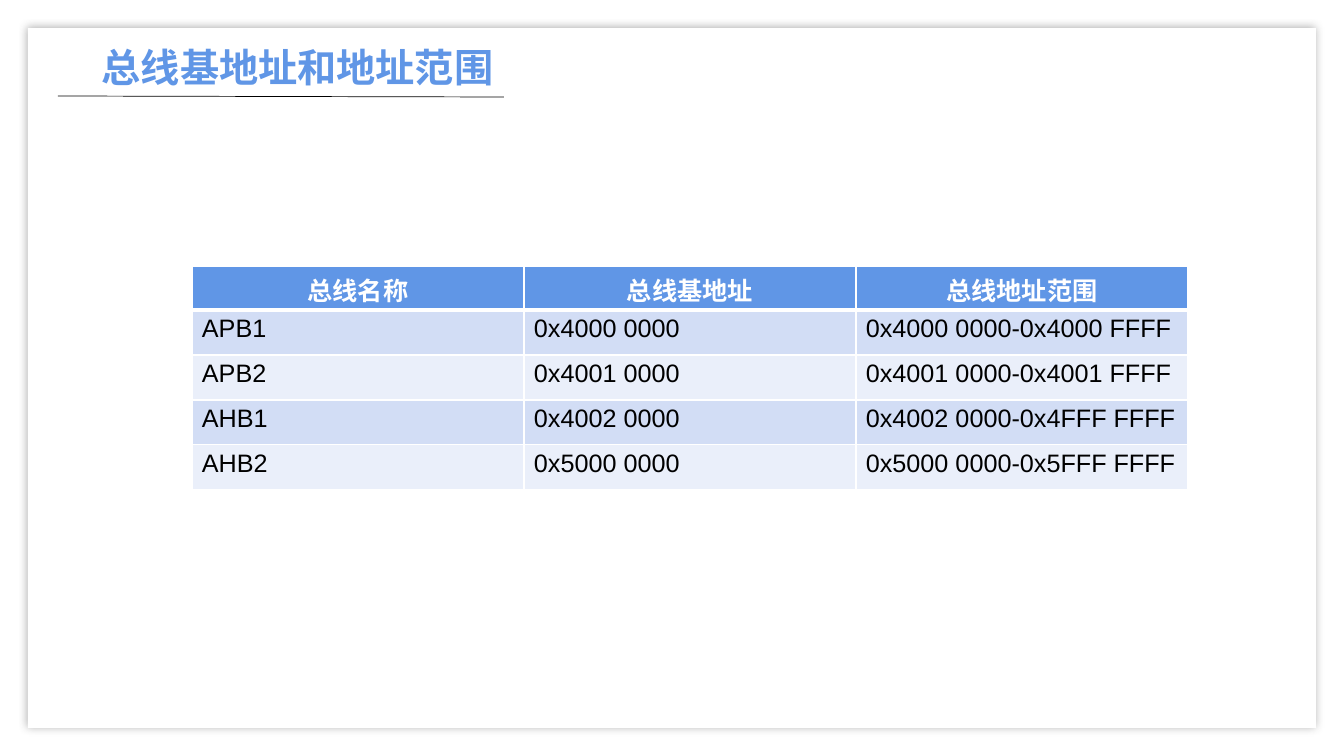
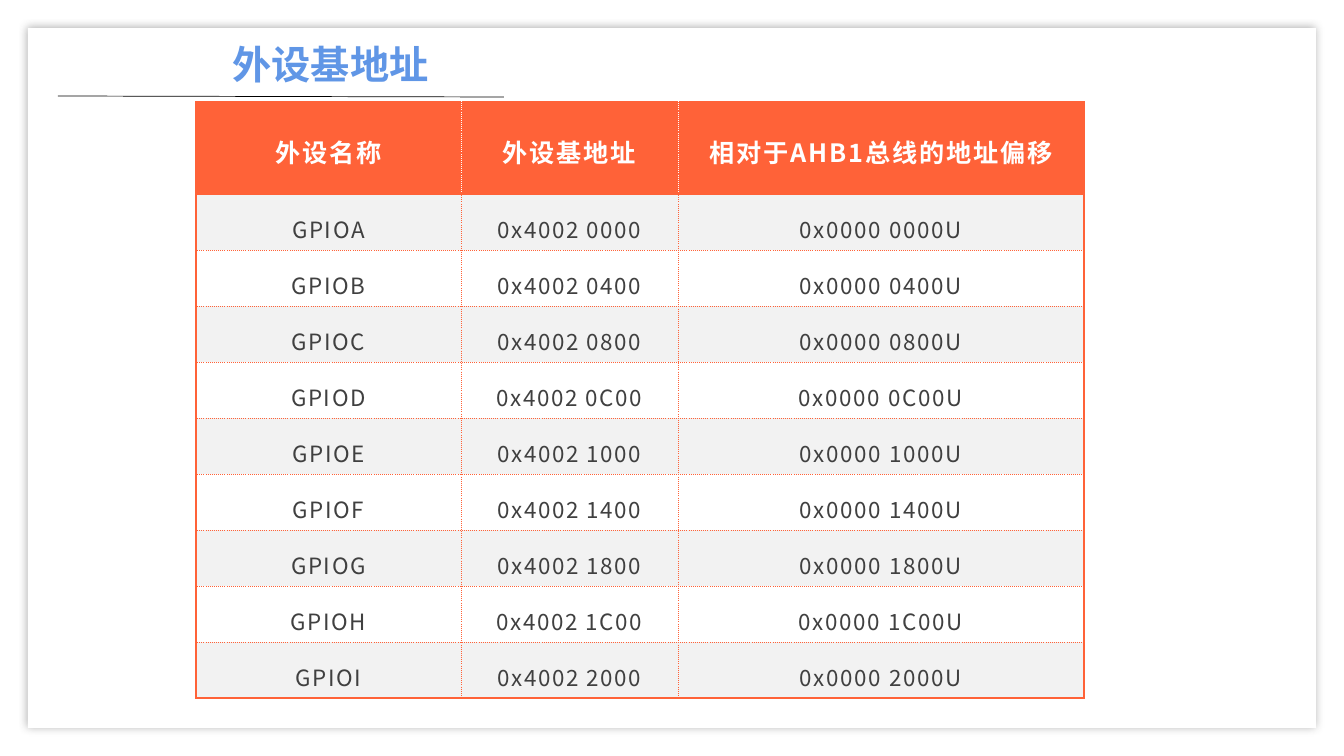
from collections import namedtuple

from lxml.etree import SubElement
from pptx import Presentation
from pptx.dml.color import RGBColor
from pptx.enum.shapes import MSO_CONNECTOR, MSO_SHAPE
from pptx.enum.text import MSO_ANCHOR, MSO_AUTO_SIZE, PP_ALIGN
from pptx.oxml import parse_xml
from pptx.oxml.ns import nsdecls, qn
from pptx.util import Emu, Pt

SLIDE_WIDTH, SLIDE_HEIGHT = 1344, 756
EMU_PER_PX = 12192000 / SLIDE_WIDTH
COLORS = {
    "white": "FFFFFF", "black": "000000", "shadow": "404040",
    "blue": "6096E6", "blue band": "D2DDF5", "blue pale": "EAEFFA",
    "orange": "FF6238", "grey band": "F2F2F2", "dark grey": "404040",
}
LATIN, CJK = "Arial", "Noto Sans CJK SC"

Border = namedtuple("Border", "color width dash", defaults=["solid"])
Type = namedtuple("Type", "font size color bold align spacing", defaults=[0])
# Borders: frame round the table, rule below the header, divider between
# header cells, grid between body cells. Margins in px.
TableStyle = namedtuple(
    "TableStyle",
    "header body header_fill bands frame rule divider grid "
    "side top header_bottom body_bottom anchor line_spacing")

BUS_STYLE = TableStyle(
    header=Type(LATIN, 18, "white", True, PP_ALIGN.CENTER),
    body=Type(LATIN, 18, "black", False, PP_ALIGN.LEFT),
    header_fill="blue", bands=("blue band", "blue pale"),
    frame=Border("white", 1), rule=Border("white", 3),
    divider=Border("white", 1), grid=Border("white", 1),
    side=10, top=5, header_bottom=2, body_bottom=2,
    anchor=MSO_ANCHOR.TOP, line_spacing=1.0)
PERIPHERAL_STYLE = TableStyle(
    header=Type(CJK, 18, "white", True, PP_ALIGN.CENTER, 1.3),
    body=Type(CJK, 16, "dark grey", False, PP_ALIGN.CENTER, 1.2),
    header_fill="orange", bands=("grey band", "white"),
    frame=Border("orange", 1.5), rule=Border("orange", 1.5),
    divider=Border("white", 0.25, "dot"), grid=Border("orange", 0.25, "dot"),
    side=19, top=12, header_bottom=12, body_bottom=5,
    anchor=MSO_ANCHOR.MIDDLE, line_spacing=1.2)


def px(length):
    return Emu(round(length * EMU_PER_PX))


def rgb(name):
    return RGBColor.from_string(COLORS[name])


class Deck:
    def __init__(self):
        self.presentation = Presentation()
        self.presentation.slide_width = px(SLIDE_WIDTH)
        self.presentation.slide_height = px(SLIDE_HEIGHT)
        self.slide = None

    def new_slide(self, title, left, top, width):
        layout = self.presentation.slide_layouts[5]
        self.slide = self.presentation.slides.add_slide(layout)
        self.panel()
        self.title_rule()
        self.title(title, left, top, width)

    def panel(self):
        """White sheet with a soft shadow, behind everything else."""
        sheet = self.slide.shapes.add_shape(
            MSO_SHAPE.RECTANGLE, px(28), px(28), px(1288), px(700))
        sheet.fill.solid()
        sheet.fill.fore_color.rgb = rgb("white")
        sheet.line.fill.background()
        sheet.shadow.inherit = False
        effects = sheet._element.spPr.find(qn("a:effectLst"))
        effects.append(parse_xml(
            f'<a:outerShdw {nsdecls("a")} blurRad="{Pt(6)}" dist="0" '
            f'algn="ctr" rotWithShape="0"><a:srgbClr val="{COLORS["shadow"]}">'
            '<a:alpha val="41000"/></a:srgbClr></a:outerShdw>'))
        sheet._element.getparent().insert(2, sheet._element)

    def title_rule(self):
        rule = self.slide.shapes.add_connector(
            MSO_CONNECTOR.STRAIGHT, px(58), px(96), px(504), px(97))
        rule.line.color.rgb = rgb("black")
        rule.line.width = Pt(0.5)
        SubElement(rule._element.spPr, qn("a:effectLst"))

    def title(self, text, left, top, width):
        heading = self.slide.shapes.title
        heading.left, heading.top = px(left), px(top)
        heading.width, heading.height = px(width), px(57)
        frame = heading.text_frame
        frame.text = text
        frame.auto_size = MSO_AUTO_SIZE.NONE
        frame.vertical_anchor = MSO_ANCHOR.MIDDLE
        frame.margin_left = frame.margin_right = 0
        self.format(frame.paragraphs[0],
                    Type(LATIN, 28, "blue", True, PP_ALIGN.CENTER))

    def format(self, paragraph, style):
        paragraph.alignment = style.align
        for run in paragraph.runs:
            run.font.name = style.font
            run.font.size = Pt(style.size)
            run.font.bold = style.bold
            run.font.color.rgb = rgb(style.color)
            properties = run.font._element
            SubElement(properties, qn("a:ea")).set("typeface", CJK)
            if style.spacing:
                properties.set("spc", str(round(style.spacing * 100)))

    def table(self, rows, left, top, widths, header_height, row_height, style):
        heights = [header_height] + [row_height] * (len(rows) - 1)
        grid = self.slide.shapes.add_table(
            len(rows), len(widths), px(left), px(top),
            px(sum(widths)), px(sum(heights))).table
        for column, width in zip(grid.columns, widths):
            column.width = px(width)
        for r, (values, height) in enumerate(zip(rows, heights)):
            grid.rows[r].height = px(height)
            for c, value in enumerate(values):
                cell = grid.cell(r, c)
                self.cell(cell, value, r, style)
                self.borders(cell, r, c, len(rows) - 1, len(widths) - 1, style)

    def cell(self, cell, value, row, style):
        is_header = row == 0
        cell.text_frame.text = value
        paragraph = cell.text_frame.paragraphs[0]
        paragraph.line_spacing = style.line_spacing
        self.format(paragraph, style.header if is_header else style.body)
        cell.vertical_anchor = style.anchor
        cell.margin_left = cell.margin_right = px(style.side)
        cell.margin_top = px(style.top)
        cell.margin_bottom = px(
            style.header_bottom if is_header else style.body_bottom)
        cell.fill.solid()
        cell.fill.fore_color.rgb = rgb(
            style.header_fill if is_header else style.bands[(row - 1) % 2])

    def borders(self, cell, row, column, last_row, last_column, style):
        between = style.divider if row == 0 else style.grid
        edges = {
            "lnL": style.frame if column == 0 else between,
            "lnR": style.frame if column == last_column else between,
            "lnT": {0: style.frame, 1: style.rule}.get(row, style.grid),
            "lnB": {0: style.rule, last_row: style.frame}.get(row, style.grid),
        }
        properties = cell._tc.get_or_add_tcPr()
        for position, (tag, edge) in enumerate(edges.items()):
            properties.insert(position, parse_xml(
                f'<a:{tag} {nsdecls("a")} w="{Pt(edge.width)}"><a:solidFill>'
                f'<a:srgbClr val="{COLORS[edge.color]}"/></a:solidFill>'
                f'<a:prstDash val="{edge.dash}"/></a:{tag}>'))


def main():
    deck = Deck()

    # Bus addresses
    deck.new_slide("总线基地址和地址范围", 91, 38, 413)
    buses = [
        ("总线名称", "总线基地址", "总线地址范围"),
        ("APB1", "0x4000 0000", "0x4000 0000-0x4000 FFFF"),
        ("APB2", "0x4001 0000", "0x4001 0000-0x4001 FFFF"),
        ("AHB1", "0x4002 0000", "0x4002 0000-0x4FFF FFFF"),
        ("AHB2", "0x5000 0000", "0x5000 0000-0x5FFF FFFF"),
    ]
    deck.table(buses, 192, 266, [332] * 3, 44, 45, BUS_STYLE)

    # Peripheral addresses: each port sits 0x400 after the one before
    deck.new_slide("外设基地址", 157, 35, 347)
    peripherals = [("外设名称", "外设基地址", "相对于AHB1总线的地址偏移")]
    for index, port in enumerate("ABCDEFGHI"):
        offset = f"{index * 0x400:04X}"
        peripherals.append(
            (f"GPIO{port}", f"0x4002 {offset}", f"0x0000 {offset}U"))
    deck.table(peripherals, 196, 102, [265, 217, 406], 92, 56,
               PERIPHERAL_STYLE)

    deck.presentation.save("out.pptx")


if __name__ == "__main__":
    main()
